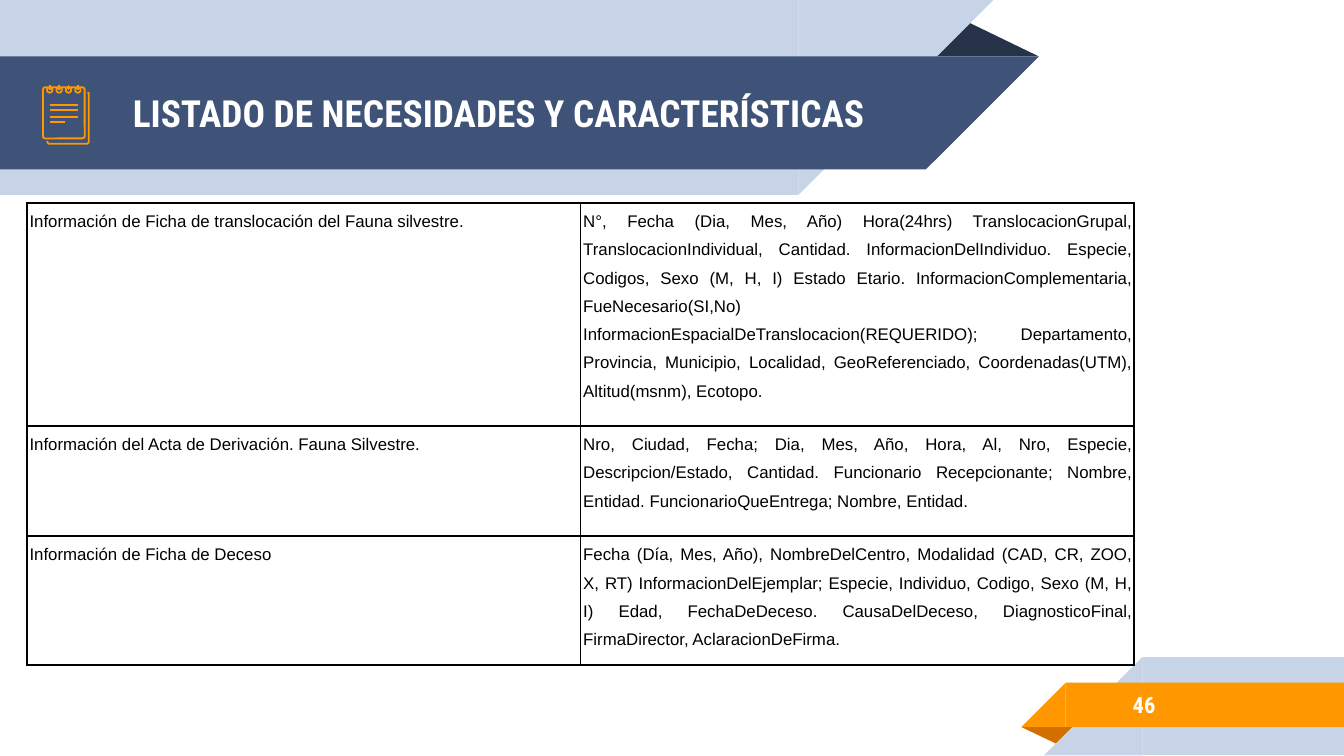
import lxml.etree
import pptx
import pptx.dml.color
import pptx.enum.shapes
import pptx.enum.text
import pptx.oxml
import pptx.oxml.ns
import pptx.util

Inches = pptx.util.Inches
Pt = pptx.util.Pt
SHAPES = pptx.enum.shapes.MSO_SHAPE
PALE, NAVY, DARK = "C7D3E6", "3F5378", "263248"
ORANGE, RUST, BLACK, WHITE = "FF9800", "D26F00", "000000", "FFFFFF"


def color(value):
    return pptx.dml.color.RGBColor.from_string(value)


def style(shape, fill=None, line=None):
    shape.shadow.inherit = False
    if fill:
        shape.fill.solid()
        shape.fill.fore_color.rgb = color(fill)
    else:
        shape.fill.background()
    if line:
        shape.line.color.rgb = color(line)
        shape.line.width = Pt(0.96)
    else:
        shape.line.fill.background()


presentation = pptx.Presentation()
presentation.slide_width = Inches(10)
presentation.slide_height = Inches(10) * 9 // 16
slide = presentation.slides.add_slide(presentation.slide_layouts[6])

bands = [
    (SHAPES.ISOSCELES_TRIANGLE, 6.88, 0.14, 0.85, 0.28, 0, False, DARK),
    (SHAPES.RECTANGLE, 0, 0, 5.94, 1.45, 0, False, PALE),
    (SHAPES.RIGHT_TRIANGLE, 5.94, 0, 1.45, 1.45, 180, True, PALE),
    (SHAPES.RECTANGLE, 0, 0.42, 6.89, 0.84, 0, False, NAVY),
    (SHAPES.RIGHT_TRIANGLE, 6.89, 0.42, 0.84, 0.84, 180, True, NAVY),
    (SHAPES.ISOSCELES_TRIANGLE, 7.6, 5.41, 0.43, 0.14, 180, False, RUST),
    (SHAPES.RECTANGLE, 8.5, 4.89, 1.5, 0.73, 0, False, PALE),
    (SHAPES.RIGHT_TRIANGLE, 7.77, 4.89, 0.73, 0.73, 0, True, PALE),
    (SHAPES.RECTANGLE, 7.93, 5.08, 2.07, 0.33, 0, False, ORANGE),
    (SHAPES.RIGHT_TRIANGLE, 7.6, 5.08, 0.33, 0.33, 0, True, ORANGE),
]
for kind, left, top, width, height, rotation, flipped, fill in bands:
    shape = slide.shapes.add_shape(kind, Inches(left), Inches(top), Inches(width), Inches(height))
    style(shape, fill)
    shape.rotation = rotation
    if kind == SHAPES.ISOSCELES_TRIANGLE:
        shape.adjustments[0] = 0.32
    if flipped:
        shape._element.spPr.xfrm.set("flipH", "1")

back_page = [(35, 105), (36, 107), (37, 107), (65, 107),
             (66, 106), (66, 105), (66, 70), (66, 69), (65, 69)]
builder = slide.shapes.build_freeform(*back_page[0], scale=Inches(0.01))
builder.add_line_segments(back_page[1:], close=False)
style(builder.convert_to_shape(), line=ORANGE)

front_page = slide.shapes.add_shape(
    SHAPES.ROUNDED_RECTANGLE, Inches(0.32), Inches(0.65), Inches(0.31), Inches(0.38))
front_page.adjustments[0] = 0.05
style(front_page, line=ORANGE)

ring_centers = [0.37 + 0.07 * index for index in range(4)]
for center in ring_centers:
    ring = slide.shapes.add_shape(
        SHAPES.OVAL, Inches(center - 0.02), Inches(0.65), Inches(0.04), Inches(0.04))
    style(ring, line=ORANGE)

strokes = [(0.37, y, end, y) for y, end in [(0.78, 0.58), (0.82, 0.58), (0.87, 0.58), (0.91, 0.48)]]
strokes += [(center, 0.63, center, 0.67) for center in ring_centers]
for stroke in strokes:
    connector = slide.shapes.add_connector(
        pptx.enum.shapes.MSO_CONNECTOR.STRAIGHT, *[Inches(value) for value in stroke])
    connector.line.color.rgb = color(ORANGE)
    connector.line.width = Pt(0.96)
    lxml.etree.SubElement(connector._element.spPr, pptx.oxml.ns.qn("a:effectLst"))

labels = [
    ("LISTADO DE NECESIDADES Y CARACTERÍSTICAS", 0.89, 0.42, 5.75, 0.84, 20),
    ("46", 8.33, 5.07, 1.63, 0.35, 12),
]
for text, left, top, width, height, size in labels:
    box = slide.shapes.add_textbox(Inches(left), Inches(top), Inches(width), Inches(height))
    frame = box.text_frame
    frame.word_wrap = True
    frame.vertical_anchor = pptx.enum.text.MSO_ANCHOR.MIDDLE
    frame.margin_left = frame.margin_right = Inches(0.1)
    frame.margin_top = frame.margin_bottom = Inches(0.1)
    paragraph = frame.paragraphs[0]
    paragraph.text = text
    paragraph.font.name = "Roboto Condensed"
    paragraph.font.size = Pt(size)
    paragraph.font.bold = True
    paragraph.font.color.rgb = color(WHITE)

needs = [
    (1.66, "Información de Ficha de translocación del Fauna silvestre.",
     "N°, Fecha (Dia, Mes, Año) Hora(24hrs) TranslocacionGrupal, TranslocacionIndividual, "
     "Cantidad. InformacionDelIndividuo. Especie, Codigos, Sexo (M, H, I) Estado Etario. "
     "InformacionComplementaria, FueNecesario(SI,No) "
     "InformacionEspacialDeTranslocacion(REQUERIDO); Departamento, Provincia, Municipio, "
     "Localidad, GeoReferenciado, Coordenadas(UTM), Altitud(msnm), Ecotopo. "),
    (0.82, "Información del Acta de Derivación. Fauna Silvestre.",
     "Nro, Ciudad, Fecha; Dia, Mes, Año, Hora, Al, Nro, Especie, Descripcion/Estado, "
     "Cantidad. Funcionario Recepcionante; Nombre, Entidad. FuncionarioQueEntrega; "
     "Nombre, Entidad."),
    (0.96, "Información de Ficha de Deceso",
     "Fecha (Día, Mes, Año), NombreDelCentro, Modalidad (CAD, CR, ZOO, X, RT) "
     "InformacionDelEjemplar; Especie, Individuo, Codigo, Sexo (M, H, I) Edad, "
     "FechaDeDeceso. CausaDelDeceso, DiagnosticoFinal, FirmaDirector, AclaracionDeFirma."),
]
table = slide.shapes.add_table(
    len(needs), 2, Inches(0.2), Inches(1.51), Inches(8.24), Inches(3.44)).table
for column in table.columns:
    column.width = Inches(4.12)
for row, (height, *texts) in zip(table.rows, needs):
    row.height = Inches(height)
    for cell, text in zip(row.cells, texts):
        cell.margin_left = cell.margin_right = Inches(0.02)
        cell.margin_top = cell.margin_bottom = 0
        properties = cell._tc.get_or_add_tcPr()
        for side in ("lnL", "lnR", "lnT", "lnB"):
            properties.append(pptx.oxml.parse_xml(
                f'<a:{side} {pptx.oxml.ns.nsdecls("a")} w="{Pt(1)}">'
                f'<a:solidFill><a:srgbClr val="{BLACK}"/></a:solidFill></a:{side}>'))
        cell.fill.solid()
        cell.fill.fore_color.rgb = color(WHITE)
        paragraph = cell.text_frame.paragraphs[0]
        paragraph.text = text
        paragraph.alignment = pptx.enum.text.PP_ALIGN.JUSTIFY
        paragraph.line_spacing = 1.5
        paragraph.font.name = "Arial"
        paragraph.font.size = Pt(9)
        paragraph.font.color.rgb = color(BLACK)

presentation.save("out.pptx")
